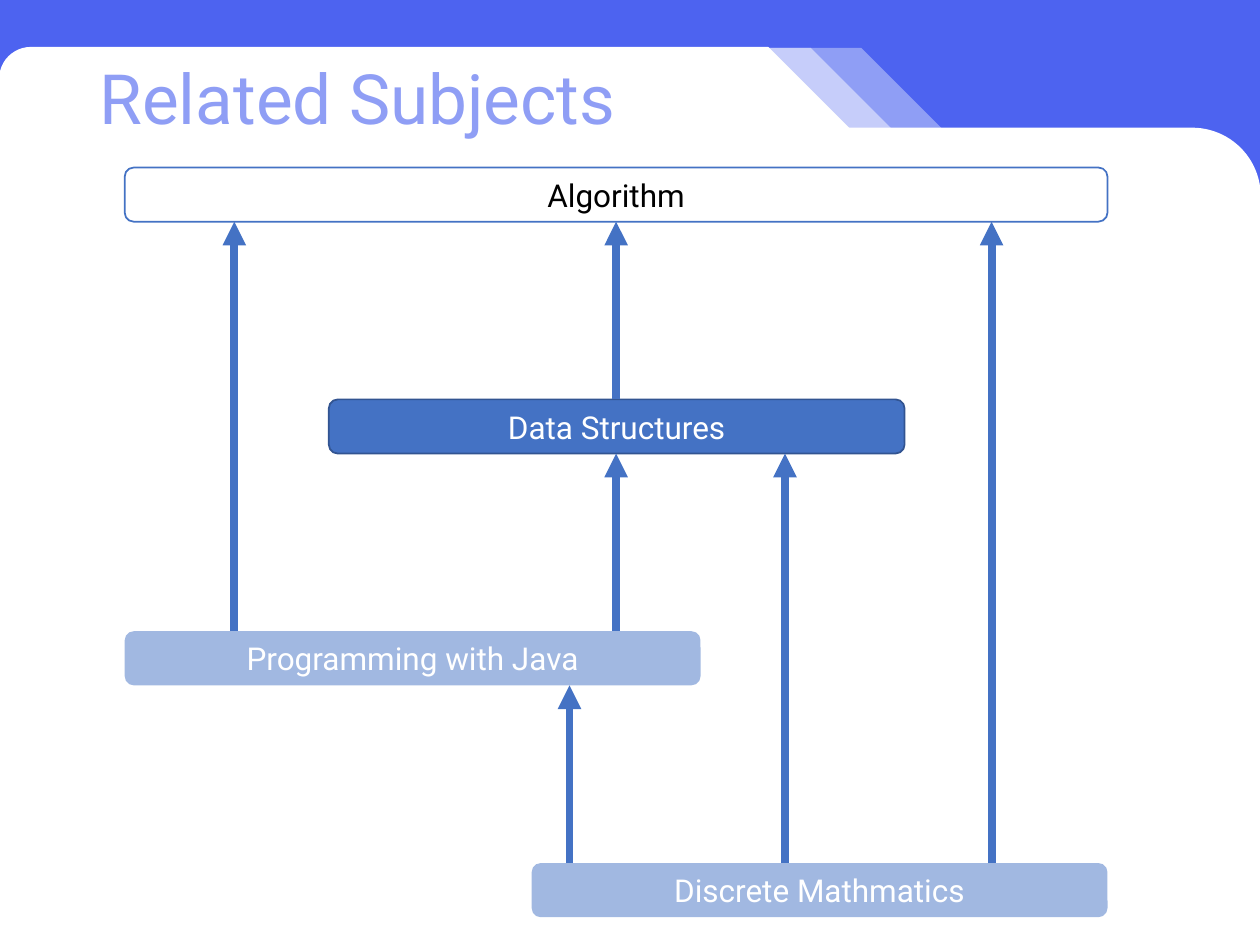
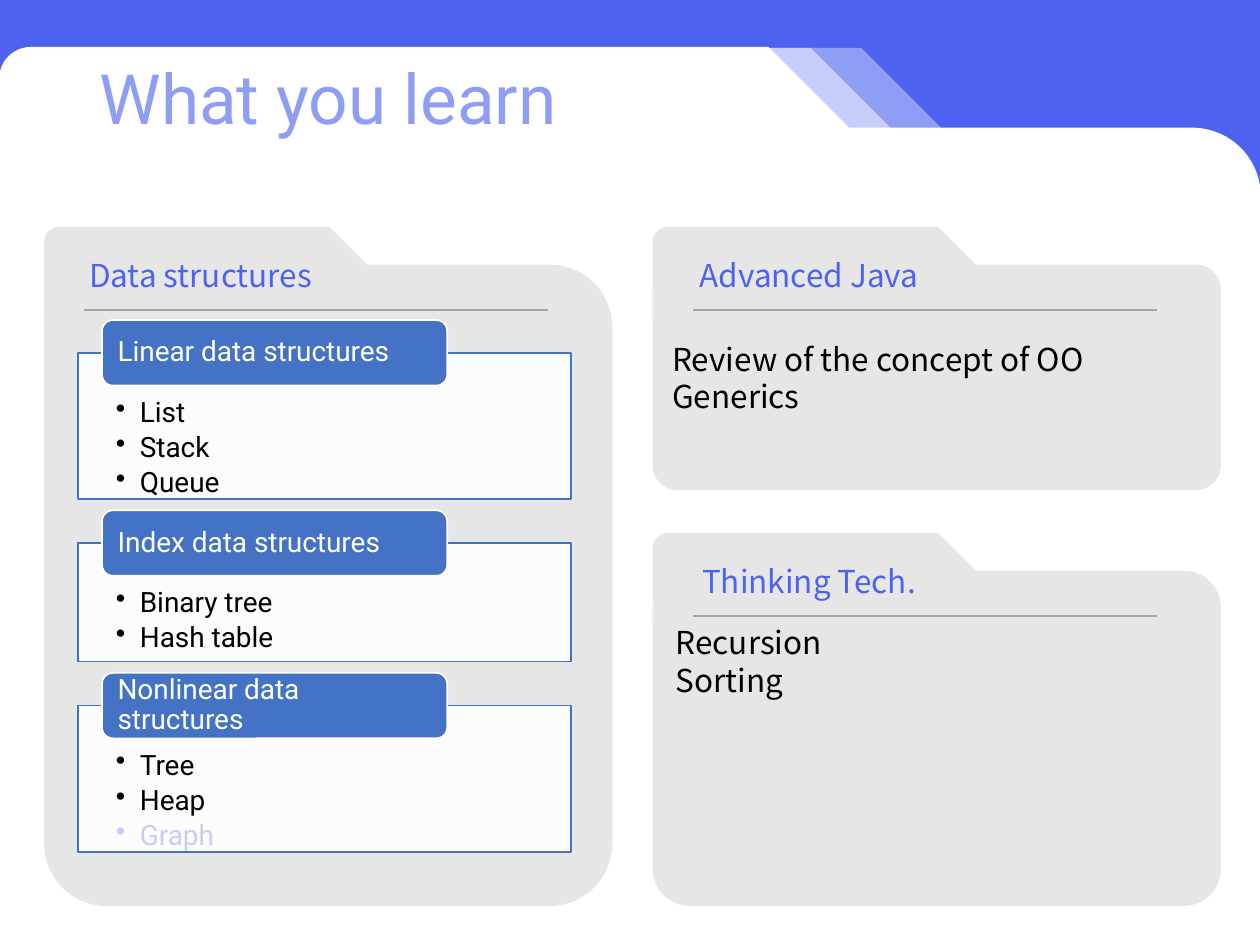
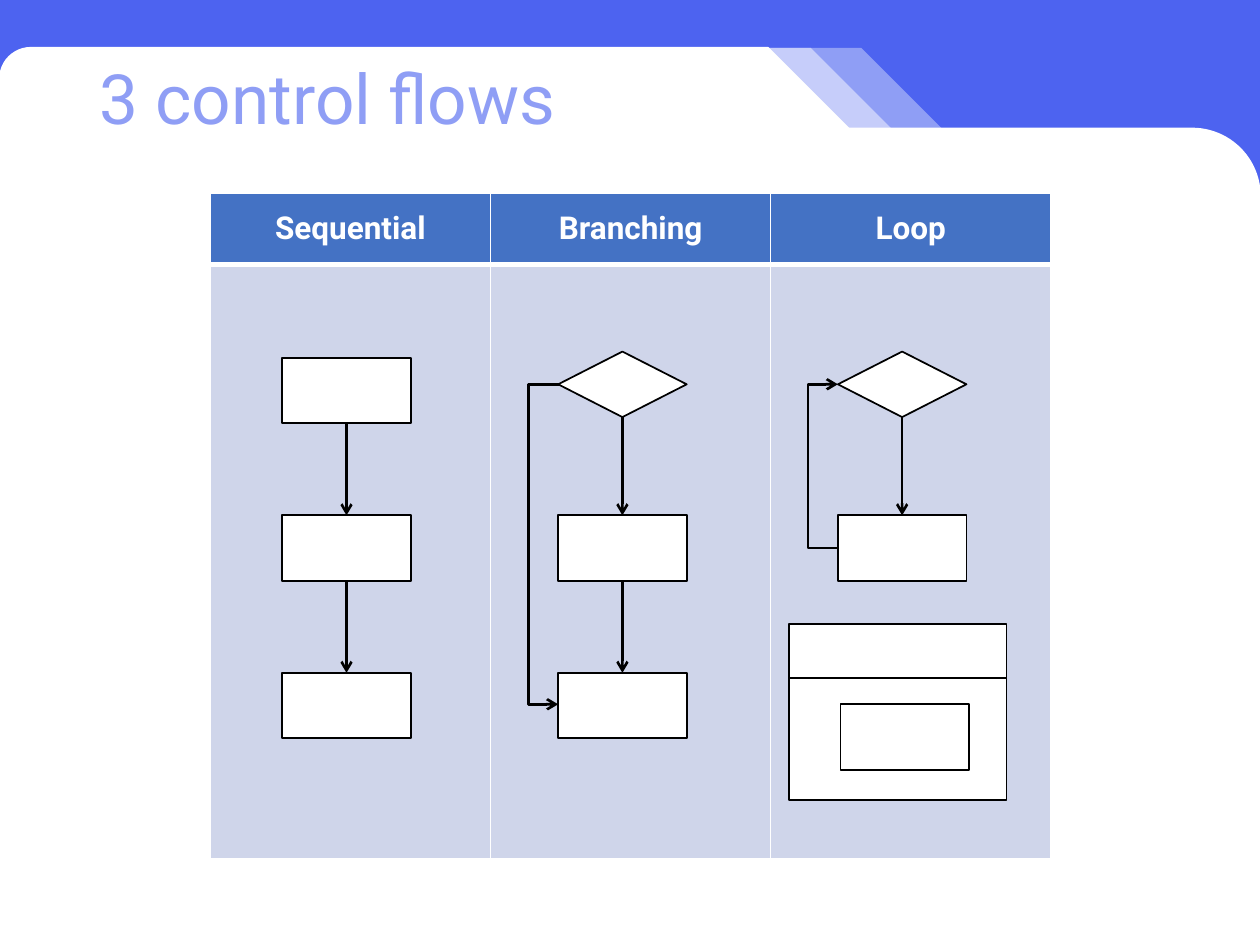
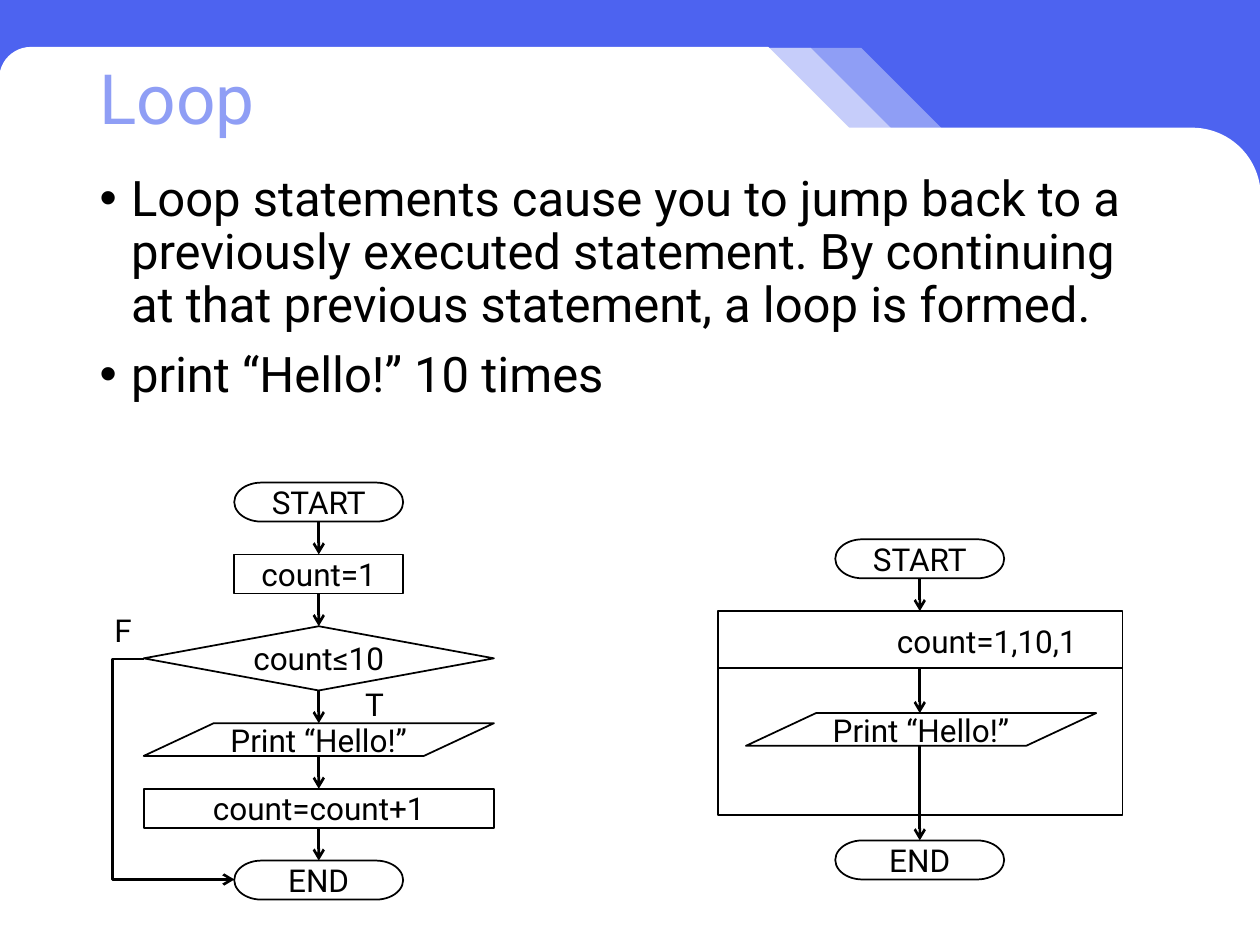
from lxml import etree
from pptx import Presentation
from pptx.dml.color import RGBColor
from pptx.enum.shapes import MSO_CONNECTOR, MSO_SHAPE
from pptx.enum.text import MSO_ANCHOR, MSO_AUTO_SIZE, PP_ALIGN
from pptx.oxml.ns import qn
from pptx.util import Inches, Pt

RECT = MSO_SHAPE.RECTANGLE
ROUNDED = MSO_SHAPE.ROUNDED_RECTANGLE
TAB = MSO_SHAPE.SNIP_ROUND_RECTANGLE
SHEET = MSO_SHAPE.ROUND_2_SAME_RECTANGLE
DECISION = MSO_SHAPE.FLOWCHART_DECISION
TERMINATOR = MSO_SHAPE.FLOWCHART_TERMINATOR
DATA = MSO_SHAPE.FLOWCHART_DATA
STRAIGHT, ELBOW = MSO_CONNECTOR.STRAIGHT, MSO_CONNECTOR.ELBOW
TOP, MIDDLE = MSO_ANCHOR.TOP, MSO_ANCHOR.MIDDLE
LEFT, CENTER = PP_ALIGN.LEFT, PP_ALIGN.CENTER
FIXED = MSO_AUTO_SIZE.NONE

ROBOTO, NOTO = "Roboto", "Noto Sans CJK KR"
WHITE, BLACK = "FFFFFF", "000000"
INDIGO, LAVENDER, PALE = "4D63F0", "8F9EF5", "C6CDFA"
BLUE, NAVY, CELL = "4472C4", "325491", "CFD5EA"
GREY, RULE = "E6E6E6", "A5A5A5"
TITLE_ONLY, TITLE_AND_BODY = 5, 1
NODE_WIDTH, NODE_HEIGHT, REACH = 1.02, 0.52, 0.25


def rgb(value):
    """Turn a hex string into a colour."""
    return RGBColor.from_string(value)


def apply(target, values):
    """Set several attributes of one object."""
    for name, value in values.items():
        setattr(target, name, value)


def inches(box):
    """Convert a sequence of numbers to lengths."""
    return [Inches(number) for number in box]


def add_bullet(para, indent):
    """Give a paragraph a round bullet with a hanging indent."""
    props = para._p.get_or_add_pPr()
    props.set("marL", str(Inches(indent)))
    props.set("indent", str(-Inches(indent)))
    etree.SubElement(props, qn("a:buChar")).set("char", "•")


def write(frame, lines, color=BLACK, size=18, name=ROBOTO, bold=False,
          frame_format=None, para_format=None, bullet=None):
    """Fill a text frame with formatted paragraphs and return their spans."""
    apply(frame, {"word_wrap": True, "auto_size": FIXED, **(frame_format or {})})
    spans = []
    for index, line in enumerate(lines):
        para = frame.add_paragraph() if index else frame.paragraphs[0]
        apply(para, {"alignment": LEFT, **(para_format or {})})
        if bullet:
            add_bullet(para, bullet)
        span = para.add_run()
        span.text = line
        apply(span.font, {"name": name, "size": Pt(size), "bold": bold})
        span.font.color.rgb = rgb(color)
        spans.append(span)
    return spans


def add_shape(page, kind, box, fill, line=None, adjust=(), alpha=None):
    """Draw a flat preset shape."""
    shape = page.shapes.add_shape(kind, *inches(box))
    shape.shadow.inherit = False
    shape.fill.solid()
    shape.fill.fore_color.rgb = rgb(fill)
    if alpha:
        color = shape.element.spPr.find(qn("a:solidFill")).find(qn("a:srgbClr"))
        etree.SubElement(color, qn("a:alpha")).set("val", str(alpha * 1000))
    if line:
        shape.line.color.rgb = rgb(line)
        shape.line.width = Pt(1)
    else:
        shape.line.fill.background()
    for index, value in enumerate(adjust):
        shape.adjustments[index] = value
    return shape


def add_line(page, start, end, color=BLACK, width=1.5, head="arrow", bend=None):
    """Draw a connector, with a corner column at x = bend if one is given."""
    kind = STRAIGHT if bend is None else ELBOW
    line = page.shapes.add_connector(kind, *inches((*start, *end)))
    line.line.color.rgb = rgb(color)
    line.line.width = Pt(width)
    props = line.element.spPr
    if head:
        etree.SubElement(props.find(qn("a:ln")), qn("a:tailEnd")).set("type", head)
    etree.SubElement(props, qn("a:effectLst"))
    if bend is not None:
        ratio = (bend - start[0]) / (end[0] - start[0])
        guides = props.find(qn("a:prstGeom")).find(qn("a:avLst"))
        guide = etree.SubElement(guides, qn("a:gd"))
        guide.set("name", "adj1")
        guide.set("fmla", f"val {round(ratio * 100000)}")


def add_label(page, box, text, wrap=False):
    """Add a plain text box."""
    frame = page.shapes.add_textbox(*inches(box)).text_frame
    write(frame, [text], frame_format={"word_wrap": wrap})


def add_page(deck, layout, title):
    """Add a slide with the shared title style."""
    page = deck.slides.add_slide(deck.slide_layouts[layout])
    shape = page.shapes.title
    apply(shape, dict(zip(("left", "top", "width", "height"),
                          inches((0.69, 0.51, 5.52, 0.6)))))
    write(shape.text_frame, [title], LAVENDER, 39.6,
          frame_format={"vertical_anchor": MIDDLE},
          para_format={"line_spacing": 0.9})
    return page


def decorate_master(deck, page):
    """Put the background, header bands and white sheet on the master."""
    master = deck.slide_master
    master.background.fill.solid()
    master.background.fill.fore_color.rgb = rgb(INDIGO)
    parts = [add_shape(page, TAB, (left, 0.38, 6.83, 1.47), fill, line, (0.167, 0.5))
             for left, fill, line in ((0.74, LAVENDER, None), (0.34, PALE, None),
                                      (0, WHITE, WHITE))]
    parts.append(add_shape(page, SHEET, (0, 1.02, 10, 6.48), WHITE, WHITE, (0.083, 0)))
    for index, part in enumerate(parts):
        part.element.nvSpPr.cNvPr.set("id", str(100 + index))
        master.shapes.element.insert(2 + index, part.element)


def subject_map(page, box):
    """Draw the subject bars and the arrows between their tiers."""
    left, top, width, step = box
    height, short = 0.43, 4.57
    bars = (
        ("Algorithm", 0, width, BLACK, {"fill": WHITE, "line": BLUE}),
        ("Data Structures", 1.62, short, WHITE, {"fill": BLUE, "line": NAVY}),
        ("Programming with Java", 0, short, WHITE, {"fill": BLUE, "alpha": 50}),
        ("Discrete Mathmatics", width - short, short, WHITE, {"fill": BLUE, "alpha": 50}),
    )
    for tier, (text, offset, length, color, look) in enumerate(bars):
        bar = add_shape(page, ROUNDED,
                        (left + offset, top + tier * step, length, height), **look)
        write(bar.text_frame, [text], color, para_format={"alignment": CENTER})
    for offset, lower, upper in ((3.9, 2, 1), (3.9, 1, 0), (0.87, 2, 0),
                                 (6.88, 3, 0), (3.53, 3, 2), (5.24, 3, 1)):
        x = left + offset
        add_line(page, (x, top + lower * step), (x, top + upper * step + height),
                 BLUE, 4.5, "triangle")


def folder(page, box, title, lines=(), frame_format=None):
    """Draw a folder with a titled tab and optional lines of text."""
    left, top, width, height = box
    body = add_shape(page, ROUNDED, (left, top + 0.3, width, height - 0.3),
                     GREY, adjust=(0.11,))
    if lines:
        write(body.text_frame, lines, name=NOTO, frame_format=frame_format)
    tab = add_shape(page, TAB, (left, top, 2.63, 0.73), GREY, adjust=(0.167, 0.5))
    write(tab.text_frame, [title], INDIGO, name=NOTO, para_format={"alignment": CENTER})
    add_line(page, (left + 0.32, top + 0.66), (left + 4, top + 0.66), RULE, head=None)


def topic_panel(page, box, title, items):
    """Draw a bulleted panel under a heading pill and return the item spans."""
    left, top, width, height = box
    panel = add_shape(page, RECT, box, WHITE, BLUE, alpha=90)
    margins = {"margin_left": Inches(0.3), "margin_top": Inches(0.36),
               "margin_right": Inches(0.3), "margin_bottom": Inches(0.12)}
    spans = write(panel.text_frame, items, size=16, bullet=0.19,
                  frame_format={"vertical_anchor": TOP, **margins},
                  para_format={"line_spacing": 0.9, "space_after": Pt(2.8)})
    pill = add_shape(page, ROUNDED, (left + 0.19, top - 0.26, 2.74, 0.52), BLUE, WHITE)
    write(pill.text_frame, [title], WHITE, 16,
          frame_format={"margin_top": 0, "margin_bottom": 0},
          para_format={"line_spacing": 0.9})
    return spans


def topic_panels(page, left, top, width):
    """Stack the data structure panels and fade the last item."""
    topics = (("Linear data structures", ("List", "Stack", "Queue")),
              ("Index data structures", ("Binary tree", "Hash table")),
              ("Nonlinear data structures", ("Tree", "Heap", "Graph")))
    for title, items in topics:
        height = 0.5 + 0.22 * len(items)
        spans = topic_panel(page, (left, top, width, height), title, items)
        top += height + 0.35
    spans[-1].font.color.rgb = rgb(PALE)


def set_borders(cell, widths):
    """Give a cell white borders; widths run left, right, top, bottom."""
    props = cell._tc.get_or_add_tcPr()
    for index, (side, width) in enumerate(zip("LRTB", widths)):
        line = etree.Element(qn(f"a:ln{side}"))
        line.set("w", str(Pt(width)))
        fill = etree.SubElement(line, qn("a:solidFill"))
        etree.SubElement(fill, qn("a:srgbClr")).set("val", WHITE)
        props.insert(index, line)


def flow_table(page, box, headings):
    """Add the table that frames the control flows."""
    table = page.shapes.add_table(2, len(headings), *inches(box)).table
    heights = (0.57, box[3] - 0.57)
    for row, height in zip(table.rows, heights):
        row.height = Inches(height)
    for column, heading in enumerate(headings):
        for row, (fill, bottom) in enumerate(((BLUE, 3), (CELL, 1))):
            cell = table.cell(row, column)
            cell.fill.solid()
            cell.fill.fore_color.rgb = rgb(fill)
            set_borders(cell, (1, 1, 3 if row else 1, bottom))
        head = table.cell(0, column)
        head.vertical_anchor = MIDDLE
        write(head.text_frame, [heading], WHITE, bold=True,
              para_format={"alignment": CENTER})


def node(page, kind, box, text=None):
    """Draw one flowchart symbol."""
    shape = add_shape(page, kind, box, WHITE, BLACK)
    if text:
        write(shape.text_frame, [text], para_format={"alignment": CENTER})


def chain(page, center, top, steps, gap):
    """Stack symbols joined by arrows; steps hold kind, width, height, text."""
    for index, (kind, width, height, text) in enumerate(steps):
        node(page, kind, (center - width / 2, top, width, height), text)
        if index:
            add_line(page, (center, top - gap), (center, top))
        top += height + gap


def loop_frame(page, box, header):
    """Draw a loop block with a ruled header."""
    left, top, width, _ = box
    node(page, RECT, box)
    add_line(page, (left, top + header), (left + width, top + header),
             width=1, head=None)


def control_flows(page):
    """Draw the sequential, branching and loop charts."""
    box = (RECT, NODE_WIDTH, NODE_HEIGHT, None)
    choice = (DECISION, NODE_WIDTH, NODE_HEIGHT, None)
    chain(page, 2.75, 2.84, [box] * 3, 0.73)
    branch, loop, top = 4.94, 7.16, 2.79
    chain(page, branch, top, [choice, box], 0.78)
    node(page, RECT, (branch - NODE_WIDTH / 2, 5.34, NODE_WIDTH, NODE_HEIGHT))
    add_line(page, (branch, 4.61), (branch, 5.34))
    chain(page, loop, top, [choice, box], 0.78)
    for center, start, end in ((branch, 3.05, 5.59), (loop, 4.35, 3.05)):
        edge = center - NODE_WIDTH / 2
        add_line(page, (edge + 0.01, start), (edge, end), bend=edge + 0.01 - REACH)
    loop_frame(page, (6.26, 4.95, 1.73, 1.4), 0.43)
    node(page, RECT, (6.67, 5.59, NODE_WIDTH, NODE_HEIGHT))


def counting_chart(page, center, top):
    """Draw the loop as a decision with a way out."""
    narrow, wide = 1.34, 2.78
    chain(page, center, top, (
        (TERMINATOR, narrow, 0.31, "START"),
        (RECT, narrow, 0.31, "count=1"),
        (DECISION, wide, 0.51, "count≤10"),
        (DATA, wide, 0.26, "Print “Hello!”"),
        (RECT, wide, 0.31, "count=count+1"),
        (TERMINATOR, narrow, 0.31, "END"),
    ), 0.26)
    edge = center - wide / 2
    add_line(page, (edge, top + 1.4), (center - narrow / 2, top + 3.15),
             bend=edge - REACH)
    add_label(page, (center + 0.27, top + 1.56, 0.34, 0.4), "T")
    add_label(page, (center - 1.72, top + 0.97, 0.34, 0.4), "F")


def block_chart(page, center, top):
    """Draw the loop as a block with a counter in its header."""
    for offset, text in ((0, "START"), (2.39, "END")):
        node(page, TERMINATOR, (center - 0.67, top + offset, 1.34, 0.31), text)
    loop_frame(page, (center - 1.6, top + 0.57, 3.21, 1.62), 0.45)
    node(page, DATA, (center - 1.38, top + 1.38, 2.78, 0.26), "Print “Hello!”")
    for start, end in ((0.31, 0.57), (1.02, 1.38), (1.64, 2.39)):
        add_line(page, (center, top + start), (center, top + end))
    add_label(page, (center - 0.28, top + 0.61, 1.89, 0.4), "count=1,10,1", True)


def loop_text(page, box):
    """Place and fill the body list."""
    body = page.placeholders[1]
    apply(body, dict(zip(("left", "top", "width", "height"), inches(box))))
    write(body.text_frame, (
        "Loop statements cause you to jump back to a previously executed statement."
        " By continuing at that previous statement, a loop is formed.",
        "print “Hello!” 10 times",
    ), size=28, bullet=0.25, para_format={"line_spacing": 0.9, "space_before": Pt(10)})


def main():
    """Build the four slides and save them."""
    deck = Presentation()
    deck.slide_width, deck.slide_height = Inches(10), Inches(7.5)

    page = add_page(deck, TITLE_ONLY, "Related Subjects")
    decorate_master(deck, page)
    subject_map(page, (0.99, 1.33, 7.8, 1.84))

    page = add_page(deck, TITLE_ONLY, "What you learn")
    folder(page, (5.18, 1.8, 4.51, 2.09), "Advanced Java",
           ("Review of the concept of OO", "Generics"))
    folder(page, (0.35, 1.8, 4.51, 5.39), "Data structures")
    topic_panels(page, 0.62, 2.8, 3.91)
    folder(page, (5.18, 4.23, 4.51, 2.96), "Thinking Tech.", ("Recursion", "Sorting"),
           {"vertical_anchor": TOP, "margin_top": Inches(0.33)})

    page = add_page(deck, TITLE_ONLY, "3 control flows")
    flow_table(page, (1.67, 1.53, 6.67, 5.29), ("Sequential", "Branching", "Loop"))
    control_flows(page)

    page = add_page(deck, TITLE_AND_BODY, "Loop")
    loop_text(page, (0.69, 1.33, 8.62, 5.42))
    counting_chart(page, 2.53, 3.83)
    block_chart(page, 7.3, 4.28)

    deck.save("out.pptx")


if __name__ == "__main__":
    main()
